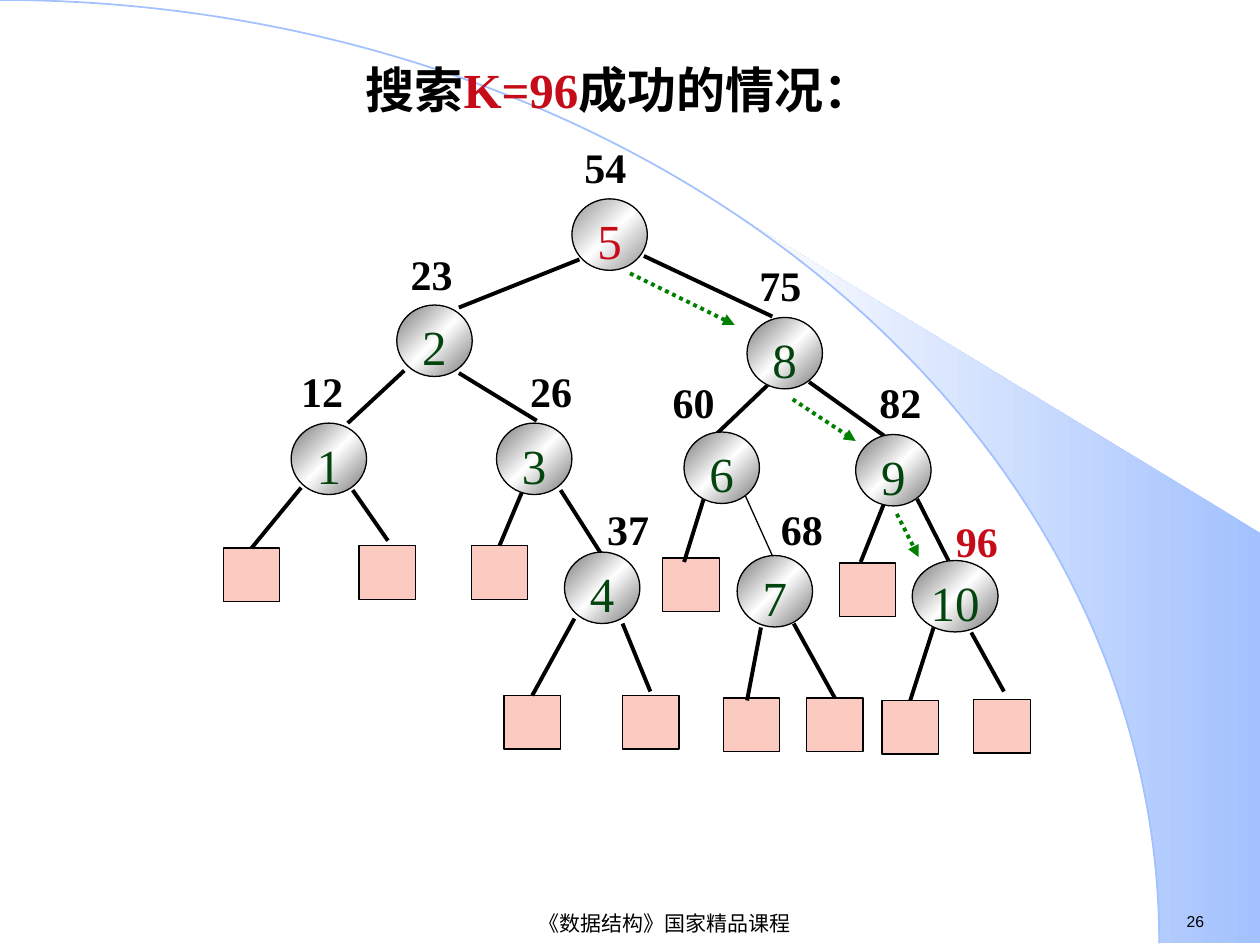
"""Build the slide on a successful search for K=96 in a binary decision tree."""
from copy import deepcopy
from dataclasses import dataclass
from math import cos, radians, sin

from lxml import etree
from pptx import Presentation
from pptx.dml.color import RGBColor
from pptx.enum.dml import MSO_LINE
from pptx.enum.shapes import MSO_CONNECTOR, MSO_SHAPE
from pptx.enum.text import MSO_ANCHOR, MSO_AUTO_SIZE, PP_ALIGN
from pptx.oxml.ns import qn
from pptx.util import Cm, Pt

ARC, ELLIPSE, RECTANGLE = MSO_SHAPE.ARC, MSO_SHAPE.OVAL, MSO_SHAPE.RECTANGLE
STRAIGHT, DOTTED = MSO_CONNECTOR.STRAIGHT, MSO_LINE.ROUND_DOT
TOP, MIDDLE = MSO_ANCHOR.TOP, MSO_ANCHOR.MIDDLE
LEFT, CENTER = PP_ALIGN.LEFT, PP_ALIGN.CENTER
TOP_SIDE = 0


@dataclass(frozen=True)
class Theme:
    ink: str = "000000"
    accent: str = "C60C19"
    index: str = "04440F"
    path_green: str = "008000"
    leaf: str = "FBCBC1"
    sky: str = "A2C1FE"
    sky_fade: str = "FEFEFE"
    sphere: tuple = ("757575", "FFFFFF", "757575")
    root_sphere: tuple = ("8F8F8F", "FFFFFF", "8F8F8F")
    serif: str = "Times New Roman"
    sans: str = "Arial"
    title_size: int = 28
    index_size: int = 28
    key_size: int = 24
    footer_size: int = 12
    number_size: int = 9
    thick: float = 2.25
    thin: float = 0.75


THEME = Theme()
SLIDE_W, SLIDE_H = 25.4, 19.05
ARC_RX, ARC_RY = 23.37, 19.02
NODE_W, WIDE_NODE_W, NODE_H = 1.52, 1.73, 1.44
LEAF_W, LEAF_H = 1.14, 1.08
KEY_W, KEY_H = 1.55, 1.27
JOIN_TOLERANCE = 0.08
ROOT, FOUND_KEY = "5", "96"

TITLE = [("搜索", THEME.ink), ("K=96", THEME.accent), ("成功的情况：", THEME.ink)]
FOOTER = "《数据结构》国家精品课程"
PAGE_NUMBER = "26"

# index, node left and top, key, key left and top
NODES = [
    ("5", 11.53, 4.01, "54", 11.53, 2.72),
    ("2", 8.0, 6.15, "23", 8.03, 4.88),
    ("8", 15.06, 6.4, "75", 15.06, 5.11),
    ("1", 5.87, 8.53, "12", 5.82, 7.24),
    ("3", 10.01, 8.53, "26", 10.44, 7.24),
    ("6", 13.79, 8.71, "60", 13.31, 7.47),
    ("9", 17.25, 8.76, "82", 17.48, 7.47),
    ("4", 11.38, 11.13, "37", 11.99, 10.03),
    ("7", 14.86, 11.2, "68", 15.49, 10.03),
    ("10", 18.39, 11.3, "96", 19.02, 10.26),
]
BRANCHES = [
    ((11.68, 5.23), (9.25, 6.2), THEME.thick),
    ((12.98, 5.16), (15.57, 6.38), THEME.thick),
    ((8.15, 7.47), (7.01, 8.53), THEME.thick),
    ((9.25, 7.52), (10.82, 8.48), THEME.thick),
    ((15.54, 7.7), (14.4, 8.79), THEME.thick),
    ((16.31, 7.7), (17.83, 8.79), THEME.thick),
    ((11.3, 9.88), (12.14, 11.2), THEME.thick),
    ((15.01, 9.96), (15.65, 11.38), THEME.thin),
    ((18.49, 10.06), (19.2, 11.46), THEME.thick),
]
LEAVES = [
    ((4.5, 11.05), (6.07, 9.83), (5.08, 11.07)),
    ((7.24, 11.0), (7.11, 9.88), (7.82, 10.9)),
    ((9.5, 11.0), (10.54, 9.88), (10.01, 10.97)),
    ((13.36, 11.25), (14.2, 10.01), (13.79, 11.33)),
    ((16.92, 11.35), (17.83, 10.13), (17.35, 11.33)),
    ((10.16, 14.02), (11.58, 12.47), (10.74, 14.02)),
    ((12.55, 14.02), (12.55, 12.57), (13.11, 13.94)),
    ((14.58, 14.07), (15.34, 12.65), (15.06, 14.12)),
    ((16.26, 14.07), (16.0, 12.57), (16.81, 14.02)),
    ((17.78, 14.12), (18.82, 12.65), (18.34, 14.12)),
    ((19.63, 14.1), (19.58, 12.75), (20.24, 13.94)),
]
SEARCH_STEPS = [
    ((12.7, 5.51), (14.81, 6.55)),
    ((15.98, 8.05), (17.25, 8.89)),
    ((18.08, 10.36), (18.52, 11.23)),
]


def rgb(colour):
    return RGBColor.from_string(colour)


def write(frame, runs, size, font, align=LEFT, bold=False, anchor=TOP, insets=(0.25, 0.13)):
    frame.word_wrap = True
    frame.auto_size = MSO_AUTO_SIZE.NONE
    frame.vertical_anchor = anchor
    frame.margin_left = frame.margin_right = Cm(insets[0])
    frame.margin_top = frame.margin_bottom = Cm(insets[1])
    paragraph = frame.paragraphs[0]
    paragraph.alignment = align
    for text, colour in runs:
        run = paragraph.add_run()
        run.text = text
        run.font.size, run.font.name, run.font.bold = Pt(size), font, bold
        run.font.color.rgb = rgb(colour)


def add_text(slide, box, *args, **kwargs):
    write(slide.shapes.add_textbox(*map(Cm, box)).text_frame, *args, **kwargs)


def add_outlined(slide, preset, box, colour, width):
    shape = slide.shapes.add_shape(preset, *map(Cm, box))
    shape.shadow.inherit = False
    shape.line.color.rgb = rgb(colour)
    shape.line.width = Pt(width)
    return shape


def fill_gradient(shape, colours, angle):
    shape.fill.gradient()
    shape.fill.gradient_angle = angle
    stop_list = next(shape._element.iter(qn("a:gsLst")))
    for _ in colours[2:]:
        stop_list.insert(1, deepcopy(stop_list[0]))
    for place, (stop, colour) in enumerate(zip(shape.fill.gradient_stops, colours)):
        stop.position = place / (len(colours) - 1)
        stop.color.rgb = rgb(colour)


def add_line(slide, start, end, colour, width, arrow=False, leaf=None):
    line = slide.shapes.add_connector(STRAIGHT, *map(Cm, start + end))
    if leaf is not None:
        line.end_connect(leaf, TOP_SIDE)
    line.line.color.rgb = rgb(colour)
    line.line.width = Pt(width)
    if arrow:
        line.line.dash_style = DOTTED
        outline = next(line._element.iter(qn("a:ln")))
        etree.SubElement(outline, qn("a:tailEnd"), type="triangle")
    etree.SubElement(line._element.spPr, qn("a:effectLst"))


def add_backdrop(slide, title):
    curve = [(Cm(ARC_RX * sin(radians(a))), Cm(ARC_RY * (1 - cos(radians(a)))))
             for a in range(40, 91, 2)]
    builder = slide.shapes.build_freeform(*curve[0], scale=1.0)
    builder.add_line_segments(
        curve[1:] + [(Cm(SLIDE_W), Cm(ARC_RY)), (Cm(SLIDE_W), Cm(10.74))], close=True)
    wedge = builder.convert_to_shape()
    wedge.shadow.inherit = False
    wedge.line.fill.background()
    fill_gradient(wedge, (THEME.sky, THEME.sky_fade), 180)
    arc = add_outlined(slide, ARC, (-ARC_RX, 0, 2 * ARC_RX, 2 * ARC_RY), THEME.sky, 1)
    arc.fill.background()
    for backdrop in (wedge, arc):
        title._element.addprevious(backdrop._element)


def add_leaf(slide, corner, start, end):
    leaf = add_outlined(slide, RECTANGLE, corner + (LEAF_W, LEAF_H), THEME.ink, THEME.thin)
    leaf.fill.solid()
    leaf.fill.fore_color.rgb = rgb(THEME.leaf)
    top_middle = (corner[0] + LEAF_W / 2, corner[1])
    touches = all(abs(a - b) < JOIN_TOLERANCE for a, b in zip(end, top_middle))
    add_line(slide, start, end, THEME.ink, THEME.thick, leaf=leaf if touches else None)


def add_node(slide, index, left, top, key, key_left, key_top):
    width = NODE_W if len(index) == 1 else WIDE_NODE_W
    is_root = index == ROOT
    node = add_outlined(slide, ELLIPSE, (left, top, width, NODE_H), THEME.ink, THEME.thin)
    fill_gradient(node, THEME.root_sphere if is_root else THEME.sphere, 135)
    write(node.text_frame, [(index, THEME.accent if is_root else THEME.index)],
          THEME.index_size, THEME.serif, CENTER, insets=(0.05, 0.03))
    add_text(slide, (key_left, key_top, KEY_W, KEY_H),
             [(key, THEME.accent if key == FOUND_KEY else THEME.ink)],
             THEME.key_size, THEME.serif, bold=True)


def main():
    deck = Presentation()
    deck.slide_width, deck.slide_height = Cm(SLIDE_W), Cm(SLIDE_H)
    slide = deck.slides.add_slide(deck.slide_layouts[5])
    title = slide.shapes.title
    title.left, title.top, title.width, title.height = map(Cm, (0.41, 1.07, 24.13, 1.75))
    write(title.text_frame, TITLE, THEME.title_size, THEME.serif, CENTER, bold=True)
    add_backdrop(slide, title)
    add_text(slide, (23.67, 18.26, 1.73, 0.64), [(PAGE_NUMBER, THEME.ink)],
             THEME.number_size, THEME.sans)
    add_text(slide, (6.1, 18.31, 14.6, 0.61), [(FOOTER, THEME.ink)],
             THEME.footer_size, THEME.sans, CENTER, anchor=MIDDLE)
    for leaf in LEAVES:
        add_leaf(slide, *leaf)
    for start, end, width in BRANCHES:
        add_line(slide, start, end, THEME.ink, width)
    for node in NODES:
        add_node(slide, *node)
    for start, end in SEARCH_STEPS:
        add_line(slide, start, end, THEME.path_green, THEME.thick, arrow=True)
    deck.save("out.pptx")


if __name__ == "__main__":
    main()
